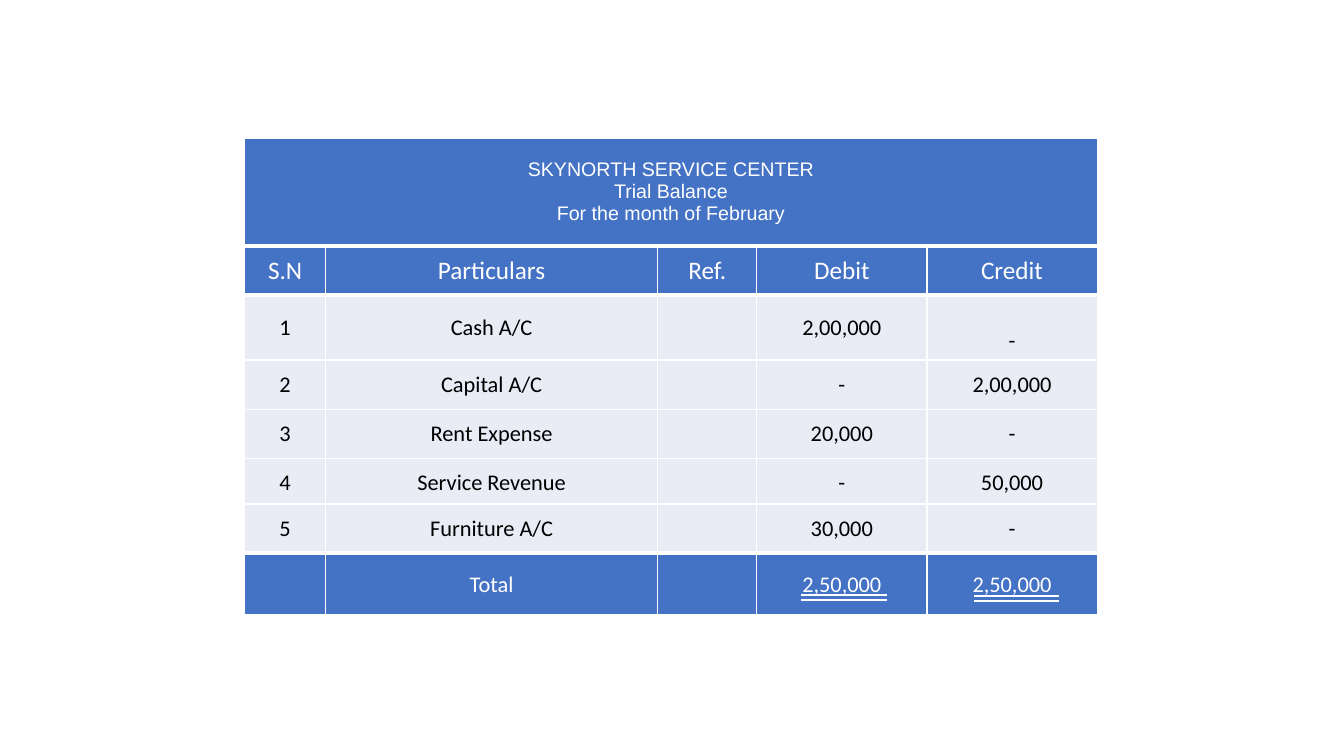
"""Build a trial balance slide from stacked tables with double-ruled totals."""
import lxml.etree
import pptx
import pptx.dml.color
import pptx.enum.shapes
import pptx.enum.text
import pptx.oxml.ns
import pptx.util

Cm = pptx.util.Cm
Pt = pptx.util.Pt
WHITE = pptx.dml.color.RGBColor(0xFF, 0xFF, 0xFF)
BLACK = pptx.dml.color.RGBColor(0x00, 0x00, 0x00)
BLUE = pptx.dml.color.RGBColor(0x44, 0x72, 0xC4)
PALE = pptx.dml.color.RGBColor(0xE9, 0xEB, 0xF5)
LEFT = 6.17
LEDGER_COLUMNS = [2.03, 8.38, 2.49, 4.29, 4.29]
qn = pptx.oxml.ns.qn


def format_cell(cell, text, font_name, size, color, fill, bottom_width):
    properties = cell._tc.get_or_add_tcPr()
    for side, width in (("L", 1), ("R", 1), ("T", 1), ("B", bottom_width)):
        border = lxml.etree.SubElement(properties, qn(f"a:ln{side}"), w=str(Pt(width)))
        solid = lxml.etree.SubElement(border, qn("a:solidFill"))
        lxml.etree.SubElement(solid, qn("a:srgbClr"), val=str(WHITE))
    cell.fill.solid()
    cell.fill.fore_color.rgb = fill
    cell.vertical_anchor = pptx.enum.text.MSO_ANCHOR.MIDDLE
    if not text:
        return
    for index, line in enumerate(text.split("\n")):
        frame = cell.text_frame
        paragraph = frame.add_paragraph() if index else frame.paragraphs[0]
        paragraph.alignment = pptx.enum.text.PP_ALIGN.CENTER
        run = paragraph.add_run()
        run.text = line
        run.font.name = font_name
        run.font.size = Pt(size)
        run.font.bold = False
        run.font.color.rgb = color


def add_ledger(top, columns, heights, entries, styles):
    ledger = slide.shapes.add_table(
        len(heights), len(columns), Cm(LEFT), Cm(top), Cm(sum(columns)), Cm(sum(heights))
    ).table
    ledger.first_row = False
    ledger.horz_banding = False
    for column, width in zip(ledger.columns, columns):
        column.width = Cm(width)
    for row, height, texts, style in zip(ledger.rows, heights, entries, styles):
        row.height = Cm(height)
        for cell, text in zip(row.cells, texts):
            format_cell(cell, text, *style)
    return ledger


presentation = pptx.Presentation()
presentation.slide_width = Cm(33.87)
presentation.slide_height = Cm(19.05)
slide = presentation.slides.add_slide(presentation.slide_layouts[6])

title_style = ("Arial", 14, WHITE, BLUE, 3)
header_style = ("Calibri", 18, WHITE, BLUE, 3)
entry_style = ("Calibri", 16, BLACK, PALE, 1)
last_entry_style = ("Calibri", 16, BLACK, PALE, 3)
total_style = ("Calibri", 16, WHITE, BLUE, 3)

accounts = [
    ["S.N", "Particulars", "Ref.", "Debit", "Credit"],
    ["1", "Cash A/C", "", "2,00,000", "-"],
    ["2", "Capital A/C", "", "-", "2,00,000"],
    ["3", "Rent Expense", "", "20,000", "-"],
    ["4", "Service Revenue", "", "-", "50,000"],
]
account_ledger = add_ledger(
    6.2, LEDGER_COLUMNS, [1.24, 1.63, 1.24, 1.24, 1.24], accounts,
    [header_style] + [entry_style] * 4,
)
account_ledger.cell(1, 4).vertical_anchor = pptx.enum.text.MSO_ANCHOR.BOTTOM

heading = "SKYNORTH SERVICE CENTER\nTrial Balance\nFor the month of February"
add_ledger(3.48, [sum(LEDGER_COLUMNS)], [2.72], [[heading]], [title_style])
add_ledger(
    13.97, LEDGER_COLUMNS, [1.55], [["", "Total", "", "2,50,000", "2,50,000"]], [total_style]
)
add_ledger(
    12.7, LEDGER_COLUMNS, [1.24], [["5", "Furniture A/C", "", "30,000", "-"]],
    [last_entry_style],
)

for rule_left, first_rule in ((24.54, 15.01), (20.19, 14.99)):
    for rule_top in (first_rule, first_rule + 0.13):
        total_rule = slide.shapes.add_connector(
            pptx.enum.shapes.MSO_CONNECTOR.STRAIGHT,
            Cm(rule_left), Cm(rule_top), Cm(rule_left + 2.16), Cm(rule_top),
        )
        total_rule.line.color.rgb = WHITE
        total_rule.line.width = Pt(1.5)
        lxml.etree.SubElement(total_rule._element.spPr, qn("a:effectLst"))

presentation.save("out.pptx")
